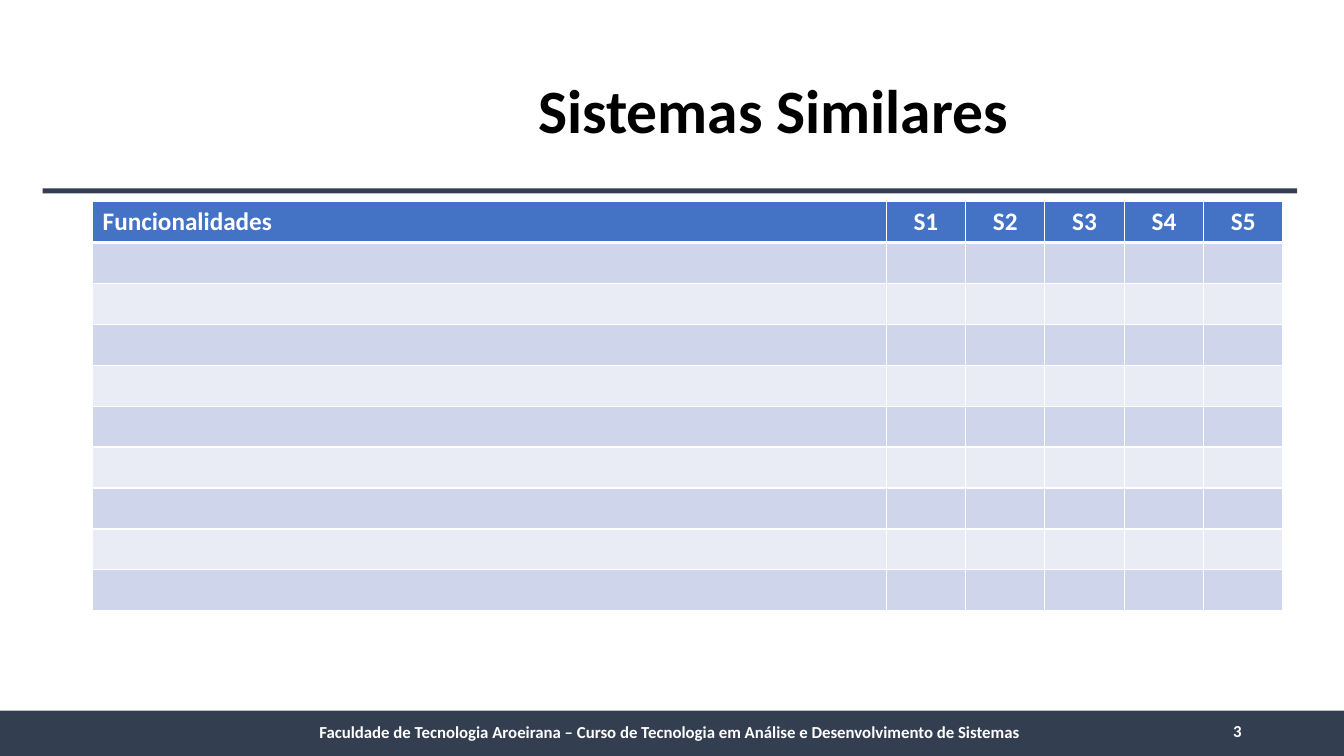
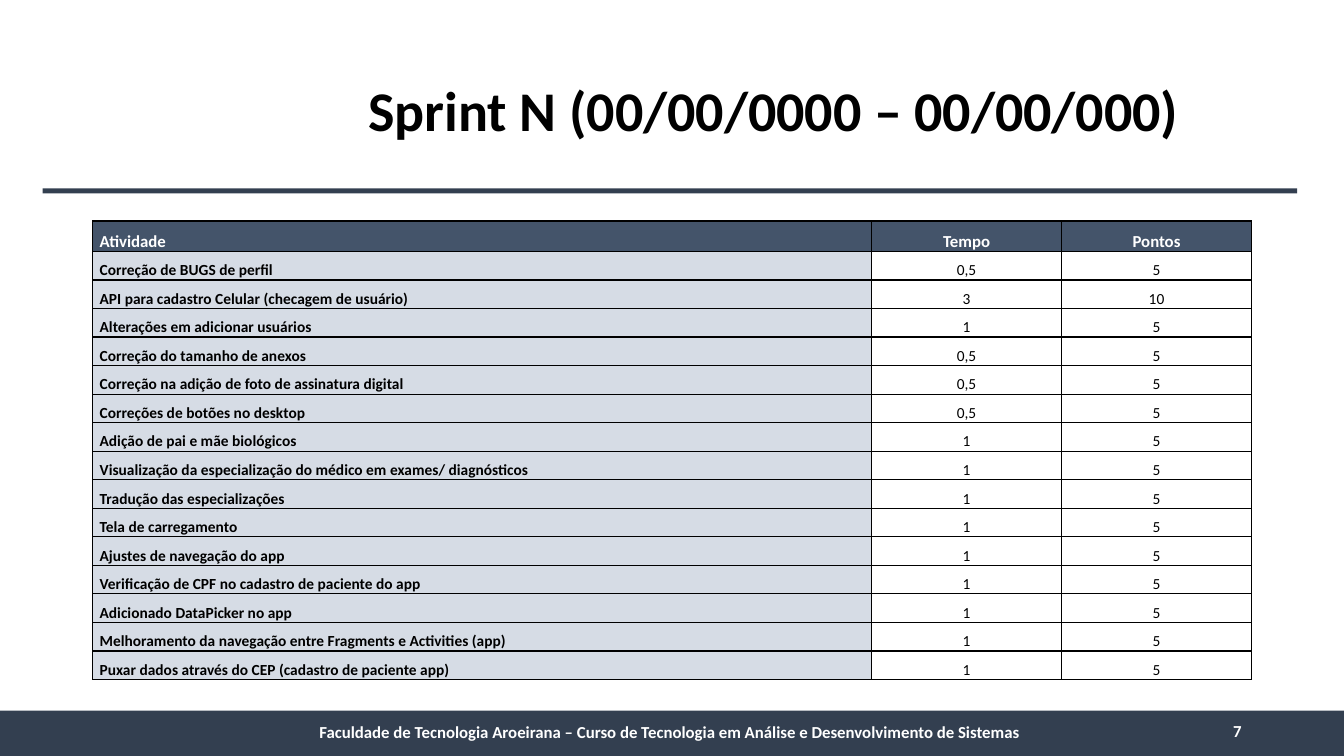
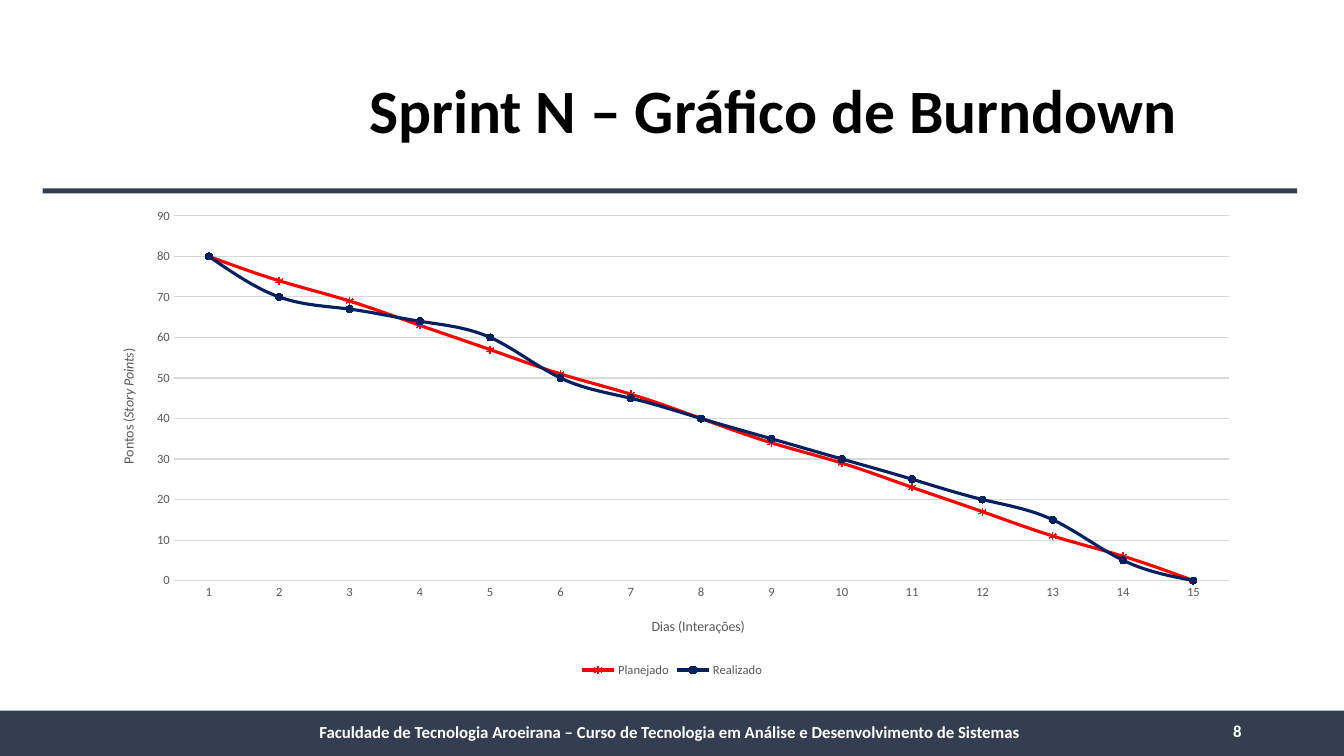
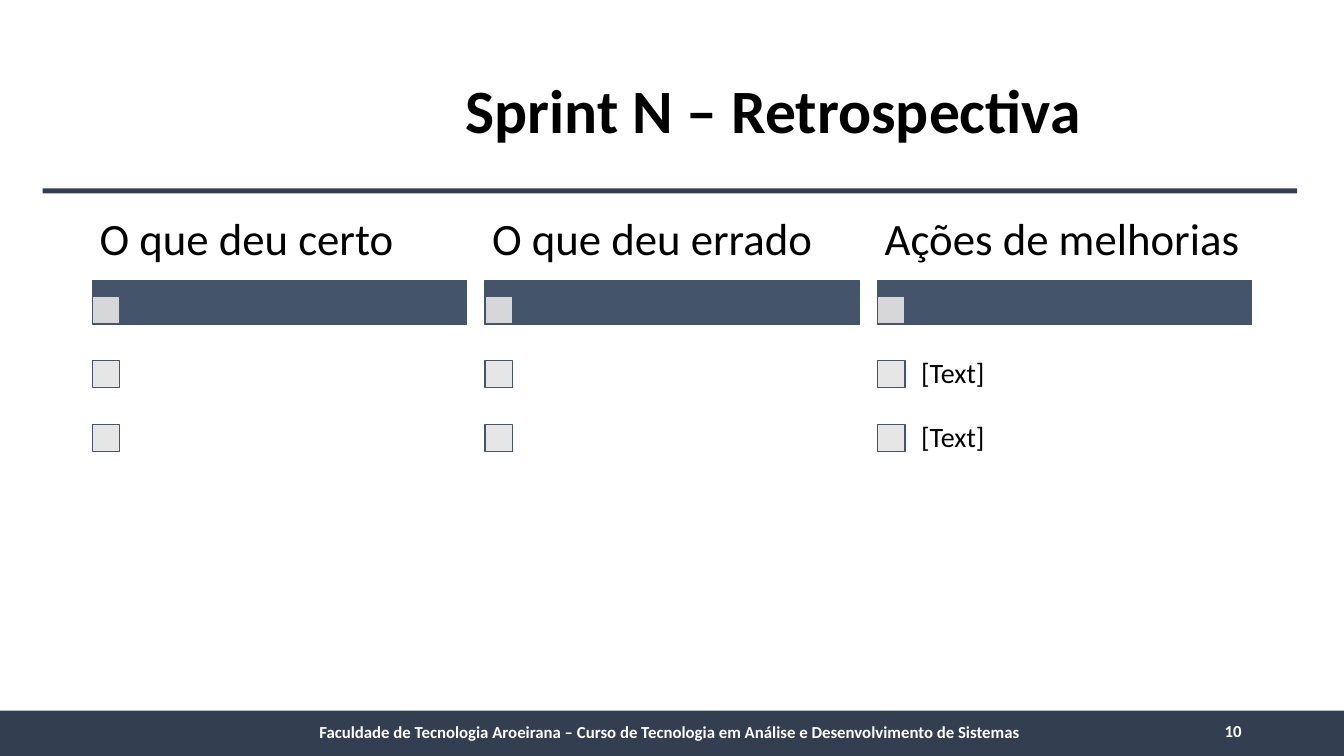
from pptx import Presentation
from pptx.chart.data import CategoryChartData
from pptx.dml.color import RGBColor
from pptx.enum.chart import XL_CHART_TYPE, XL_LEGEND_POSITION, XL_MARKER_STYLE, XL_TICK_MARK
from pptx.enum.shapes import MSO_SHAPE
from pptx.enum.text import MSO_ANCHOR, PP_ALIGN
from pptx.oxml import parse_xml
from pptx.oxml.ns import nsdecls, qn
from pptx.oxml.xmlchemy import OxmlElement
from pptx.util import Pt

LEFT, CENTER, RIGHT = PP_ALIGN.LEFT, PP_ALIGN.CENTER, PP_ALIGN.RIGHT
TOP, MIDDLE = MSO_ANCHOR.TOP, MSO_ANCHOR.MIDDLE
RECTANGLE = MSO_SHAPE.RECTANGLE
LINE_MARKERS = XL_CHART_TYPE.LINE_MARKERS
LEGEND_BOTTOM = XL_LEGEND_POSITION.BOTTOM
NO_TICK = XL_TICK_MARK.NONE
STAR, CIRCLE = XL_MARKER_STYLE.STAR, XL_MARKER_STYLE.CIRCLE

FONT = "Calibri"
COLORS = {
    "band": "333F50",
    "slate": "44546A",
    "pale_slate": "D6DCE5",
    "blue": "4472C4",
    "stripe_dark": "CFD5EA",
    "stripe_light": "E9EBF5",
    "mark": "E7E6E6",
    "grid": "D9D9D9",
    "axis_text": "595959",
    "planned": "FF0000",
    "done": "002060",
    "black": "000000",
    "white": "FFFFFF",
}

SLIDE_WIDTH, SLIDE_HEIGHT = 960, 540
BAND_HEIGHT = 32.4
BAND_TOP = SLIDE_HEIGHT - BAND_HEIGHT
CONTENT_LEFT, CONTENT_TOP, CONTENT_WIDTH = 66.2, 144, 828
TITLE_LEFT = 211
FOOTER = ("Faculdade de Tecnologia Aroeirana – Curso de Tecnologia "
          "em Análise e Desenvolvimento de Sistemas")

SYSTEMS = ["S1", "S2", "S3", "S4", "S5"]
FEATURE_ROWS = 9

ACTIVITIES = [
    ("Correção de BUGS de perfil", "0,5", "5"),
    ("API para cadastro Celular (checagem de usuário)", "3", "10"),
    ("Alterações em adicionar usuários", "1", "5"),
    ("Correção do tamanho de anexos", "0,5", "5"),
    ("Correção na adição de foto de assinatura digital", "0,5", "5"),
    ("Correções de botões no desktop", "0,5", "5"),
    ("Adição de pai e mãe biológicos", "1", "5"),
    ("Visualização da especialização do médico em exames/ diagnósticos", "1", "5"),
    ("Tradução das especializações", "1", "5"),
    ("Tela de carregamento", "1", "5"),
    ("Ajustes de navegação do app", "1", "5"),
    ("Verificação de CPF no cadastro de paciente do app", "1", "5"),
    ("Adicionado DataPicker no app", "1", "5"),
    ("Melhoramento da navegação entre Fragments e Activities (app)", "1", "5"),
    ("Puxar dados através do CEP (cadastro de paciente app)", "1", "5"),
]

BURNDOWN = [
    ("Planejado", [80, 74, 69, 63, 57, 51, 46, 40, 34, 29, 23, 17, 11, 6, 0],
     "planned", STAR, False),
    ("Realizado", [80, 70, 67, 64, 60, 50, 45, 40, 35, 30, 25, 20, 15, 5, 0],
     "done", CIRCLE, True),
]

RETROSPECTIVE = [
    ("O que deu certo", ["", ""]),
    ("O que deu errado", ["", ""]),
    ("Ações de melhorias", ["[Text]", "[Text]"]),
]


def rgb(name):
    return RGBColor.from_string(COLORS[name])


def style_font(font, size, color, bold=False):
    font.name = FONT
    font.size = Pt(size)
    font.bold = bold
    font.color.rgb = rgb(color)


def style_line(line, color, width):
    line.color.rgb = rgb(color)
    line.width = Pt(width)


def set_insets(holder, horizontal, vertical):
    holder.margin_left = holder.margin_right = Pt(horizontal)
    holder.margin_top = holder.margin_bottom = Pt(vertical)


def add_text(slide, left, top, width, height, text, size, color="black", bold=False,
             align=LEFT, spacing=1.0, insets=(7.2, 3.6)):
    frame = slide.shapes.add_textbox(Pt(left), Pt(top), Pt(width), Pt(height)).text_frame
    frame.word_wrap = True
    frame.vertical_anchor = MIDDLE
    set_insets(frame, *insets)
    paragraph = frame.paragraphs[0]
    paragraph.text = text
    paragraph.alignment = align
    paragraph.line_spacing = spacing
    style_font(paragraph.font, size, color, bold)


def add_box(slide, left, top, width, height, fill, outline=None, opacity=None):
    box = slide.shapes.add_shape(RECTANGLE, Pt(left), Pt(top), Pt(width), Pt(height))
    box.shadow.inherit = False
    box.fill.solid()
    box.fill.fore_color.rgb = rgb(fill)
    if outline:
        style_line(box.line, outline, 1)
    else:
        box.line.fill.background()
    if opacity:
        color = box.fill._xPr.find(qn("a:solidFill"))[0]
        color.append(parse_xml(f'<a:alpha {nsdecls("a")} val="{opacity * 1000}"/>'))


def add_page(deck, title, number, title_size=44):
    """Add a blank slide with the shared title, rule and footer band."""
    slide = deck.slides.add_slide(deck.slide_layouts[6])
    add_box(slide, 0, BAND_TOP, SLIDE_WIDTH, BAND_HEIGHT, "band")
    add_box(slide, 30.5, 134.5, 896, 3.6, "band")
    add_text(slide, TITLE_LEFT, 28.8, 683, 104.4, title, title_size,
             bold=True, align=CENTER, spacing=0.9)
    add_text(slide, TITLE_LEFT, 508.6, 535, 28.8, FOOTER, 12, "white", True, CENTER)
    add_text(slide, 678, BAND_TOP, 216, 28.8, str(number), 12, "white", True, RIGHT)
    return slide


def add_grid(slide, top, column_widths, row_heights):
    grid = slide.shapes.add_table(
        len(row_heights), len(column_widths), Pt(CONTENT_LEFT), Pt(top),
        Pt(sum(column_widths)), Pt(sum(row_heights))).table
    for column, width in zip(grid.columns, column_widths):
        column.width = Pt(width)
    for row, height in zip(grid.rows, row_heights):
        row.height = Pt(height)
    return grid


def set_borders(cell, color, top=1, bottom=1):
    properties = cell._tc.get_or_add_tcPr()
    for index, (side, width) in enumerate(
            [("L", 1), ("R", 1), ("T", top), ("B", bottom)]):
        properties.insert(index, parse_xml(
            f'<a:ln{side} {nsdecls("a")} w="{Pt(width)}"><a:solidFill>'
            f'<a:srgbClr val="{COLORS[color]}"/></a:solidFill></a:ln{side}>'))


def fill_cell(cell, fill):
    cell.fill.solid()
    cell.fill.fore_color.rgb = rgb(fill)


def write_cell(cell, text, size, color, bold, first, spacing=1.0):
    """Write a cell: the first column is left and top, the others centred."""
    cell.vertical_anchor = TOP if first else MIDDLE
    paragraph = cell.text_frame.paragraphs[0]
    paragraph.text = text
    paragraph.alignment = LEFT if first else CENTER
    paragraph.line_spacing = spacing
    style_font(paragraph.font, size, color, bold)


def add_feature_table(slide):
    headings = ["Funcionalidades"] + SYSTEMS
    grid = add_grid(slide, CONTENT_TOP, [566.8] + [56.7] * len(SYSTEMS),
                    [29.23] * (FEATURE_ROWS + 1))
    for column, heading in enumerate(headings):
        header = grid.cell(0, column)
        fill_cell(header, "blue")
        set_borders(header, "white", bottom=3)
        write_cell(header, heading, 18, "white", True, column == 0)
        for row in range(1, FEATURE_ROWS + 1):
            cell = grid.cell(row, column)
            fill_cell(cell, "stripe_dark" if row % 2 else "stripe_light")
            set_borders(cell, "white", top=3 if row == 1 else 1)


def add_activity_table(slide):
    grid = add_grid(slide, 157.8, [556.4, 135.7, 135.7],
                    [21.8] + [20.4] * len(ACTIVITIES))
    for row, texts in enumerate([("Atividade", "Tempo", "Pontos")] + ACTIVITIES):
        for column, text in enumerate(texts):
            cell, first = grid.cell(row, column), column == 0
            set_insets(cell, 5, 0)
            if row == 0:
                fill, size, color = "slate", 12, "white"
            else:
                fill, size, color = "pale_slate" if first else "white", 11, "black"
            fill_cell(cell, fill)
            set_borders(cell, "black")
            write_cell(cell, text, size, color, row == 0 or first, first, 1.5)


def place_in_chart(element, index, **fractions):
    """Give a chart part a fixed place, in fractions of the chart's size."""
    layout = element.find(qn("c:layout"))
    if layout is None:
        layout = OxmlElement("c:layout")
        element.insert(index, layout)
    settings = {"xMode": "edge", "yMode": "edge", **fractions}
    if "w" in fractions:
        settings = {"layoutTarget": "inner", **settings}
    values = "".join(f'<c:{key} val="{value}"/>' for key, value in settings.items())
    layout.append(parse_xml(
        f'<c:manualLayout {nsdecls("c")}>{values}</c:manualLayout>'))


def style_axis(axis, title_parts, x, y):
    """Style an axis and its title, whose parts are (text, italic) pairs."""
    axis.major_tick_mark = axis.minor_tick_mark = NO_TICK
    style_font(axis.tick_labels.font, 9, "axis_text")
    paragraph = axis.axis_title.text_frame.paragraphs[0]
    style_font(paragraph.font, 10, "axis_text")
    for text, italic in title_parts:
        run = paragraph.add_run()
        run.text = text
        run.font.italic = italic
    place_in_chart(axis.axis_title._element, 1, x=x, y=y)


def add_burndown_chart(slide):
    data = CategoryChartData()
    data.categories = [str(day) for day in range(1, 16)]
    for name, points, *_ in BURNDOWN:
        data.add_series(name, points)
    chart = slide.shapes.add_chart(
        LINE_MARKERS, Pt(CONTENT_LEFT), Pt(CONTENT_TOP), Pt(CONTENT_WIDTH),
        Pt(342.7), data).chart
    style_font(chart.font, 10, "black")
    chart.has_title = False
    chart.has_legend = True
    chart.legend.position = LEGEND_BOTTOM
    chart.legend.include_in_layout = False
    style_font(chart.legend.font, 9, "axis_text")

    days, points = chart.category_axis, chart.value_axis
    style_axis(days, [("Dias (Interações)", False)], 0.48, 0.86)
    style_line(days.format.line, "grid", 0.75)
    style_axis(points, [("Pontos (", False), ("Story Points", True), (")", False)],
               0.02, 0.3)
    points.format.line.fill.background()
    style_line(points.major_gridlines.format.line, "grid", 0.75)
    points.minimum_scale, points.maximum_scale, points.major_unit = 0, 90, 10

    plot = chart.plots[0]
    plot.vary_by_categories = False
    for series, (_, _, color, marker, smooth) in zip(plot.series, BURNDOWN):
        series.smooth = smooth
        style_line(series.format.line, color, 2.25)
        series.marker.style = marker
        series.marker.size = 5
        series.marker.format.fill.solid()
        series.marker.format.fill.fore_color.rgb = rgb(color)
        style_line(series.marker.format.line, color, 0.75)
    place_in_chart(chart._chartSpace.chart.plotArea, 0, x=0.07, y=0.03, w=0.91, h=0.76)


def add_retrospective_column(slide, left, width, heading, items):
    mark, mark_top, pitch = 19.4, 211.8, 45.7
    item_height = 45.4
    add_box(slide, left, 200.2, width, 31.5, "slate", "slate")
    add_box(slide, left, mark_top, mark, mark, "mark", "slate", opacity=90)
    add_text(slide, left, CONTENT_TOP, width, 56.2, heading, 32,
             spacing=0.9, insets=(5, 2.9))
    for position, item in enumerate(items, start=1):
        top = mark_top + position * pitch
        add_box(slide, left, top, mark, mark, "mark", "slate")
        if item:
            add_text(slide, left + mark, top + (mark - item_height) / 2, width - mark,
                     item_height, item, 20, spacing=0.9, insets=(11.5, 11.5))


def add_retrospective(slide):
    width = 267.2
    pitch = (CONTENT_WIDTH - width) / (len(RETROSPECTIVE) - 1)
    for index, (heading, items) in enumerate(RETROSPECTIVE):
        add_retrospective_column(slide, CONTENT_LEFT + index * pitch, width,
                                 heading, items)


def main():
    deck = Presentation()
    deck.slide_width, deck.slide_height = Pt(SLIDE_WIDTH), Pt(SLIDE_HEIGHT)
    add_feature_table(add_page(deck, "Sistemas Similares", 3))
    add_activity_table(add_page(deck, "Sprint N (00/00/0000 – 00/00/000)", 7, 40))
    add_burndown_chart(add_page(deck, "Sprint N – Gráfico de Burndown", 8))
    add_retrospective(add_page(deck, "Sprint N – Retrospectiva", 10))
    deck.save("out.pptx")


if __name__ == "__main__":
    main()
